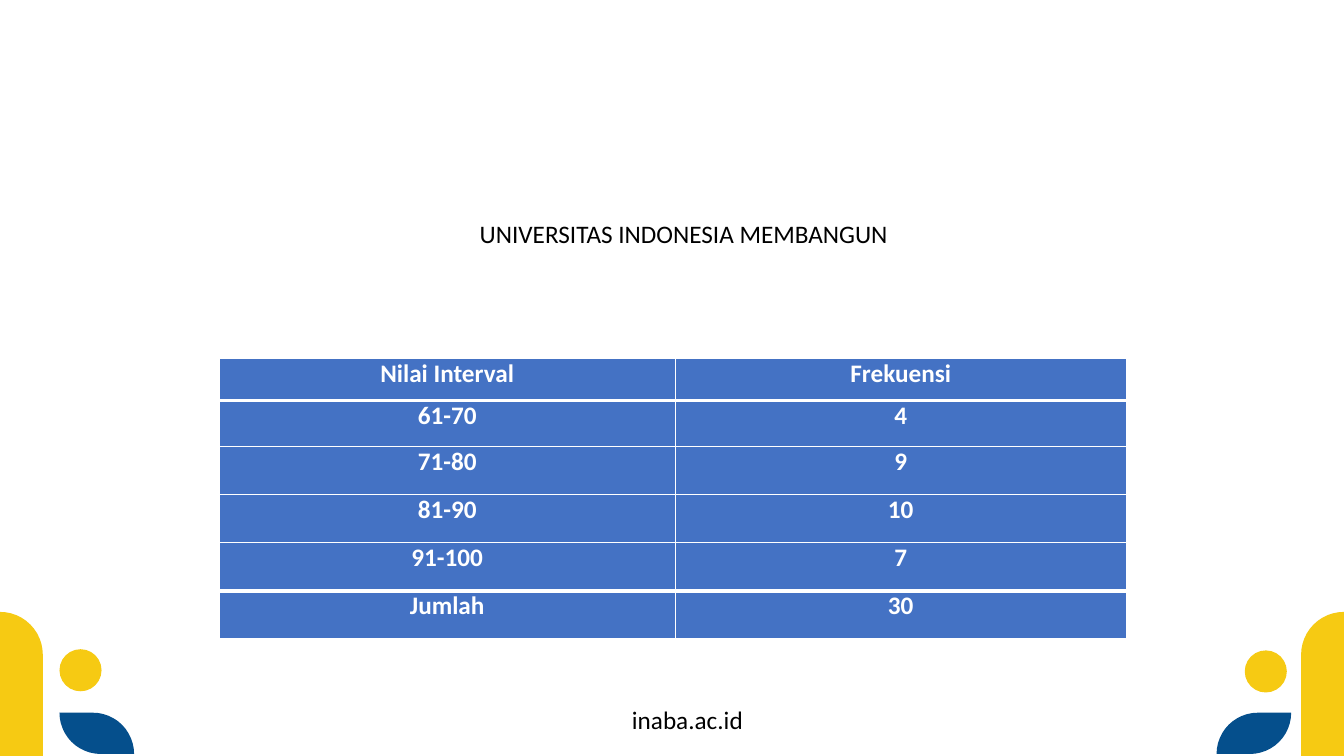
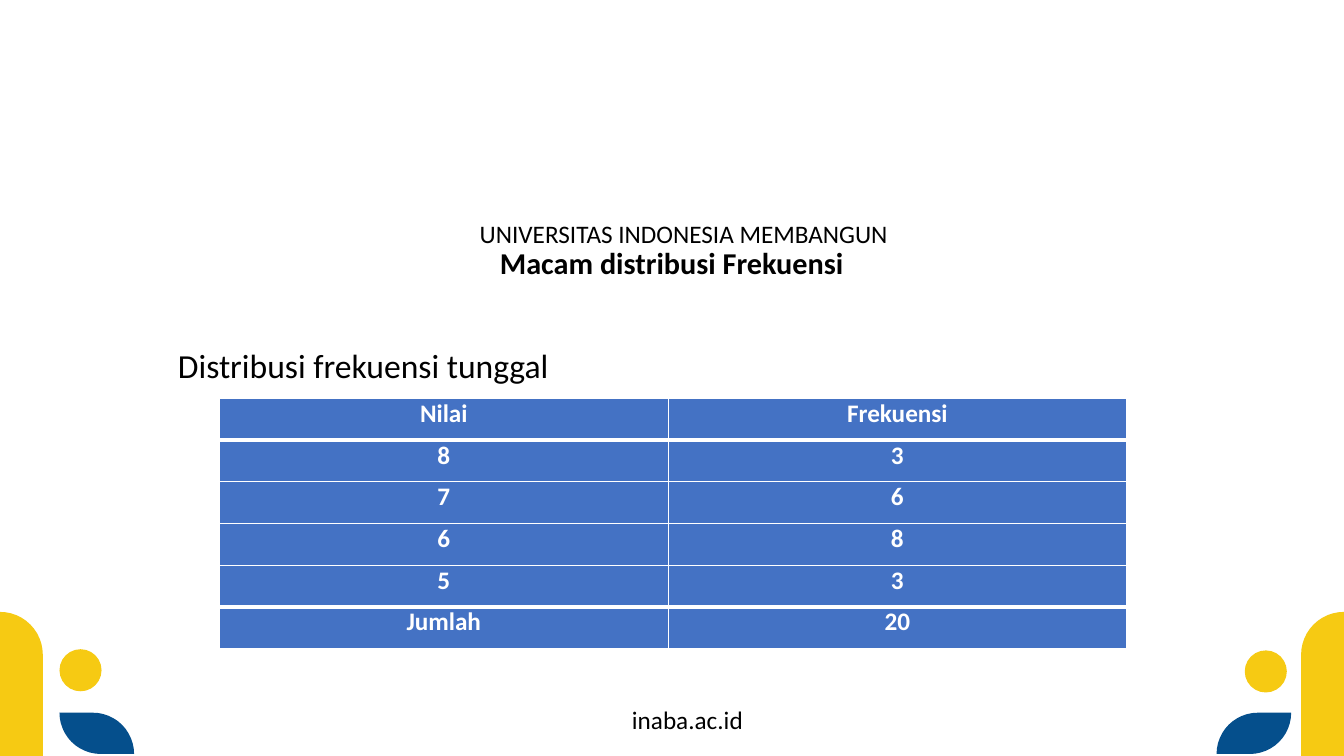
import math

import lxml.etree
import pptx
import pptx.dml.color
import pptx.enum.shapes
import pptx.enum.text
import pptx.oxml.ns
import pptx.util

Cm = pptx.util.Cm
Pt = pptx.util.Pt
RGBColor = pptx.dml.color.RGBColor
ALIGN = pptx.enum.text.PP_ALIGN
ANCHOR = pptx.enum.text.MSO_ANCHOR
AUTO_SIZE = pptx.enum.text.MSO_AUTO_SIZE
qn = pptx.oxml.ns.qn

YELLOW = RGBColor(0xF6, 0xCA, 0x13)
NAVY = RGBColor(0x05, 0x4F, 0x8C)
BLUE = RGBColor(0x44, 0x72, 0xC4)
WHITE = RGBColor(0xFF, 0xFF, 0xFF)
BLACK = RGBColor(0x00, 0x00, 0x00)

FONT = "Calibri"
WIDTH, HEIGHT = 33.87, 19.05
THIN, THICK = Pt(1), Pt(3)
NO_INSETS = {"margin_left": 0, "margin_top": 0, "margin_right": 0, "margin_bottom": 0}
LABEL = {"size": Pt(18)}
CELL = {"size": Pt(18), "bold": True}
TITLE = {"size": Pt(21.6), "bold": True}
SUBTITLE = {"size": Pt(24), "bold": False}


def apply(obj, values):
    for name, value in values.items():
        setattr(obj, name, value)


def place(sp, left, top, width, height):
    apply(sp, {"left": Cm(left), "top": Cm(top), "width": Cm(width), "height": Cm(height)})


def write(tf, text, font, align, color=BLACK, spacing=None):
    p = tf.paragraphs[0]
    apply(p, {"alignment": align, "line_spacing": spacing, "space_before": Pt(0)})
    r = p.add_run()
    r.text = text
    apply(r.font, {"name": FONT, **font})
    r.font.color.rgb = color


def paint(sp, color):
    sp.shadow.inherit = False
    sp.fill.solid()
    sp.fill.fore_color.rgb = color
    sp.line.fill.background()


def arc(cx, cy, radius, start, steps=12):
    angles = [math.radians(start + 90 * i / steps) for i in range(steps + 1)]
    return [(cx + radius * math.cos(a), cy + radius * math.sin(a)) for a in angles]


def add_outline(slide, points, color):
    first, *rest = [(Cm(x), Cm(y)) for x, y in points]
    builder = slide.shapes.build_freeform(*first)
    builder.add_line_segments(rest, close=True)
    paint(builder.convert_to_shape(), color)


def add_dot(slide, left, top):
    oval = pptx.enum.shapes.MSO_SHAPE.OVAL
    paint(slide.shapes.add_shape(oval, Cm(left), Cm(top), Cm(1.06), Cm(1.06)), YELLOW)


def add_label(slide, text, left, top, width, align):
    sp = slide.shapes.add_textbox(Cm(left), Cm(top), Cm(width), Cm(1.03))
    apply(sp.text_frame, {"word_wrap": True, "auto_size": AUTO_SIZE.SHAPE_TO_FIT_TEXT})
    write(sp.text_frame, text, LABEL, align)


def add_frame(slide):
    pillar = [(0, HEIGHT), *arc(0, 16.5, 1.08, -90), (1.08, HEIGHT)]
    leaf = [*arc(2.34, 19, 1.04, -90), *arc(2.54, 17.96, 1.04, 90)]
    for points, color, axis in ((pillar, YELLOW, WIDTH), (leaf, NAVY, 34.04)):
        add_outline(slide, points, color)
        add_outline(slide, [(axis - x, y) for x, y in points], color)
    add_dot(slide, 1.5, 16.36)
    add_dot(slide, 31.37, 16.39)
    add_label(slide, "UNIVERSITAS INDONESIA MEMBANGUN", 11.84, 5.38, 11.05, ALIGN.LEFT)
    add_label(slide, "inaba.ac.id", 11.35, 17.63, 7.62, ALIGN.RIGHT)


def add_borders(cell, top, bottom):
    tcPr = cell._tc.get_or_add_tcPr()
    for side, width in (("lnL", THIN), ("lnR", THIN), ("lnT", top), ("lnB", bottom)):
        ln = lxml.etree.SubElement(tcPr, qn("a:" + side), w=str(width))
        fill = lxml.etree.SubElement(ln, qn("a:solidFill"))
        lxml.etree.SubElement(fill, qn("a:srgbClr"), val=str(WHITE))


def add_grid(slide, rows, top, widths, heights):
    frame = slide.shapes.add_table(
        len(rows), len(widths), Cm(5.52), Cm(top), Cm(sum(widths)), Cm(sum(heights)))
    table = frame.table
    apply(table, {"first_row": False, "horz_banding": False})
    for column, width in zip(table.columns, widths):
        column.width = Cm(width)
    last = len(rows) - 1
    for i, (values, height) in enumerate(zip(rows, heights)):
        table.rows[i].height = Cm(height)
        upper = THICK if i in (1, last) else THIN
        lower = THICK if i in (0, last - 1) else THIN
        for j, value in enumerate(values):
            cell = table.cell(i, j)
            apply(cell, NO_INSETS)
            add_borders(cell, upper, lower)
            cell.fill.solid()
            cell.fill.fore_color.rgb = BLUE
            write(cell.text_frame, value, CELL, ALIGN.CENTER, WHITE)


def add_interval_slide(prs):
    slide = prs.slides.add_slide(prs.slide_layouts[6])
    add_frame(slide)
    rows = [("Nilai Interval", "Frekuensi"), ("61-70", "4"), ("71-80", "9"),
            ("81-90", "10"), ("91-100", "7"), ("Jumlah", "30")]
    add_grid(slide, rows, 9.03, (11.5, 11.36), (1.06, 1.17, *[1.21] * 4))


def add_single_slide(prs):
    slide = prs.slides.add_slide(prs.slide_layouts[0])
    add_frame(slide)
    title, subtitle = slide.placeholders
    place(title, 4.23, 6.27, 25.4, 1.96)
    apply(title.text_frame, {"auto_size": AUTO_SIZE.NONE, "vertical_anchor": ANCHOR.BOTTOM,
                             "margin_top": 0, "margin_bottom": Cm(1.15)})
    write(title.text_frame, "Macam distribusi Frekuensi", TITLE, ALIGN.CENTER, spacing=0.9)
    place(subtitle, 4.23, 8.69, 25.4, 7.65)
    apply(subtitle.text_frame, {"auto_size": AUTO_SIZE.NONE, "vertical_anchor": ANCHOR.TOP})
    write(subtitle.text_frame, "Distribusi frekuensi tunggal", SUBTITLE, ALIGN.JUSTIFY,
          spacing=0.9)
    rows = [("Nilai", "Frekuensi"), ("8", "3"), ("7", "6"),
            ("6", "8"), ("5", "3"), ("Jumlah", "20")]
    add_grid(slide, rows, 10.04, (11.33, 11.53), [1.05] * 6)


def main():
    prs = pptx.Presentation()
    apply(prs, {"slide_width": Cm(WIDTH), "slide_height": Cm(HEIGHT)})
    add_interval_slide(prs)
    add_single_slide(prs)
    prs.save("out.pptx")


if __name__ == "__main__":
    main()
